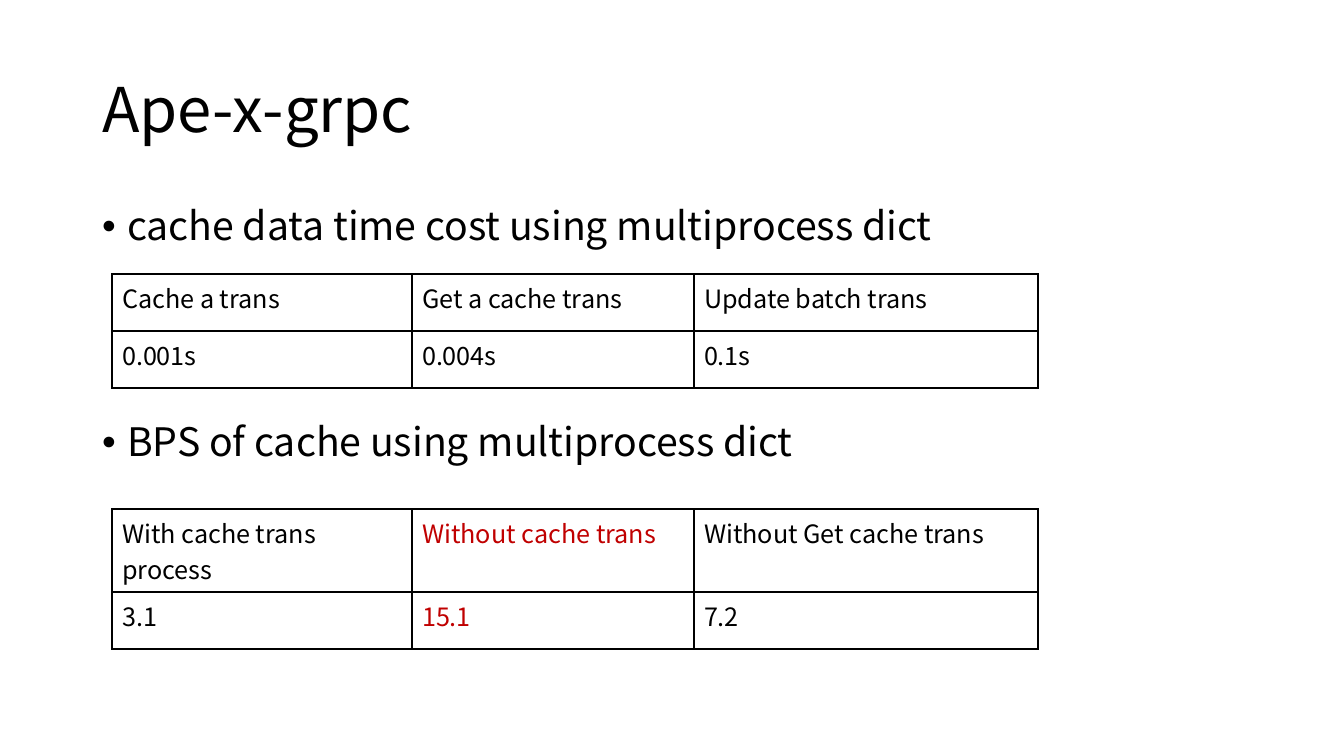
from dataclasses import dataclass

from lxml.etree import SubElement
from pptx import Presentation
from pptx.dml.color import RGBColor
from pptx.enum.text import MSO_ANCHOR, MSO_AUTO_SIZE, PP_ALIGN
from pptx.oxml.ns import qn
from pptx.util import Pt

PX = 914400 / 100.8


@dataclass(frozen=True)
class Theme:
    """Colours, font and type sizes of the slide."""
    font: str = "Noto Sans CJK SC"
    ink: RGBColor = RGBColor(0, 0, 0)
    accent: RGBColor = RGBColor(0xC0, 0, 0)
    title: int = 44
    body: int = 28
    cell: int = 18


THEME = Theme()


def px(n):
    """Turn pixels into EMU."""
    return round(n * PX)


def style(p, size, color=THEME.ink):
    """Set the font of a whole paragraph."""
    p.font.name, p.font.size, p.font.bold = THEME.font, Pt(size), False
    p.font.color.rgb = color


def place(s, box, anchor):
    """Move a placeholder to box and return its text frame."""
    s.left, s.top, s.width, s.height = map(px, box)
    tf = s.text_frame
    tf.word_wrap, tf.auto_size, tf.vertical_anchor = True, MSO_AUTO_SIZE.NONE, anchor
    return tf


def add_title(s, box, text):
    """Fill the title placeholder."""
    tf = place(s, box, MSO_ANCHOR.MIDDLE)
    tf.text = text
    p = tf.paragraphs[0]
    p.alignment, p.line_spacing = PP_ALIGN.LEFT, 0.9
    style(p, THEME.title)


def add_bullets(s, box, items):
    """Fill the body placeholder with (text, points before) bullets."""
    tf = place(s, box, MSO_ANCHOR.TOP)
    tf.text = "\n".join(text for text, _ in items)
    for p, (_, before) in zip(tf.paragraphs, items):
        p.line_spacing, p.space_before = 0.9, Pt(before)
        style(p, THEME.body)
        pPr = p._p.get_or_add_pPr()
        pPr.set("marL", str(px(25)))
        pPr.set("indent", str(px(-25)))


def add_borders(cell):
    """Draw a thin line on all four sides of a cell."""
    tcPr = cell._tc.get_or_add_tcPr()
    for i, side in enumerate(("a:lnL", "a:lnR", "a:lnT", "a:lnB")):
        ln = SubElement(tcPr, qn(side), w=str(Pt(1)))
        fill = SubElement(ln, qn("a:solidFill"))
        SubElement(fill, qn("a:srgbClr"), val=str(THEME.ink))
        tcPr.insert(i, ln)


def add_result_table(slide, left, top, widths, row_height, rows, marked=None):
    """Add a bordered table, with the marked column in the accent colour."""
    table = slide.shapes.add_table(
        len(rows), len(widths), px(left), px(top),
        px(sum(widths)), px(row_height * len(rows))).table
    table.first_row = table.horz_banding = False
    for col, width in zip(table.columns, widths):
        col.width = px(width)
    for r, row in enumerate(rows):
        table.rows[r].height = px(row_height)
        for c, text in enumerate(row):
            cell = table.cell(r, c)
            cell.text = text
            cell.fill.background()
            add_borders(cell)
            style(cell.text_frame.paragraphs[0], THEME.cell,
                  THEME.accent if c == marked else THEME.ink)


def build_cache_slide(prs):
    """Build the slide with two bullets, each above its table."""
    slide = prs.slides.add_slide(prs.slide_layouts[1])
    add_title(slide.shapes.title, (92, 40, 1159, 146), "Ape-x-grpc")
    add_bullets(slide.placeholders[1], (92, 202, 1159, 480), [
        ("cache data time cost using multiprocess dict", 10),
        ("BPS of cache using multiprocess dict", 124)])
    widths = (300, 282, 344)
    add_result_table(slide, 112, 274, widths, 57, [
        ("Cache a trans", "Get a cache trans", "Update batch trans"),
        ("0.001s", "0.004s", "0.1s")])
    add_result_table(slide, 112, 509, widths, 57, [
        ("With cache trans process", "Without cache trans", "Without Get cache trans"),
        ("3.1", "15.1", "7.2")], marked=1)


prs = Presentation()
prs.slide_width, prs.slide_height = px(1344), px(756)
build_cache_slide(prs)
prs.save("out.pptx")
